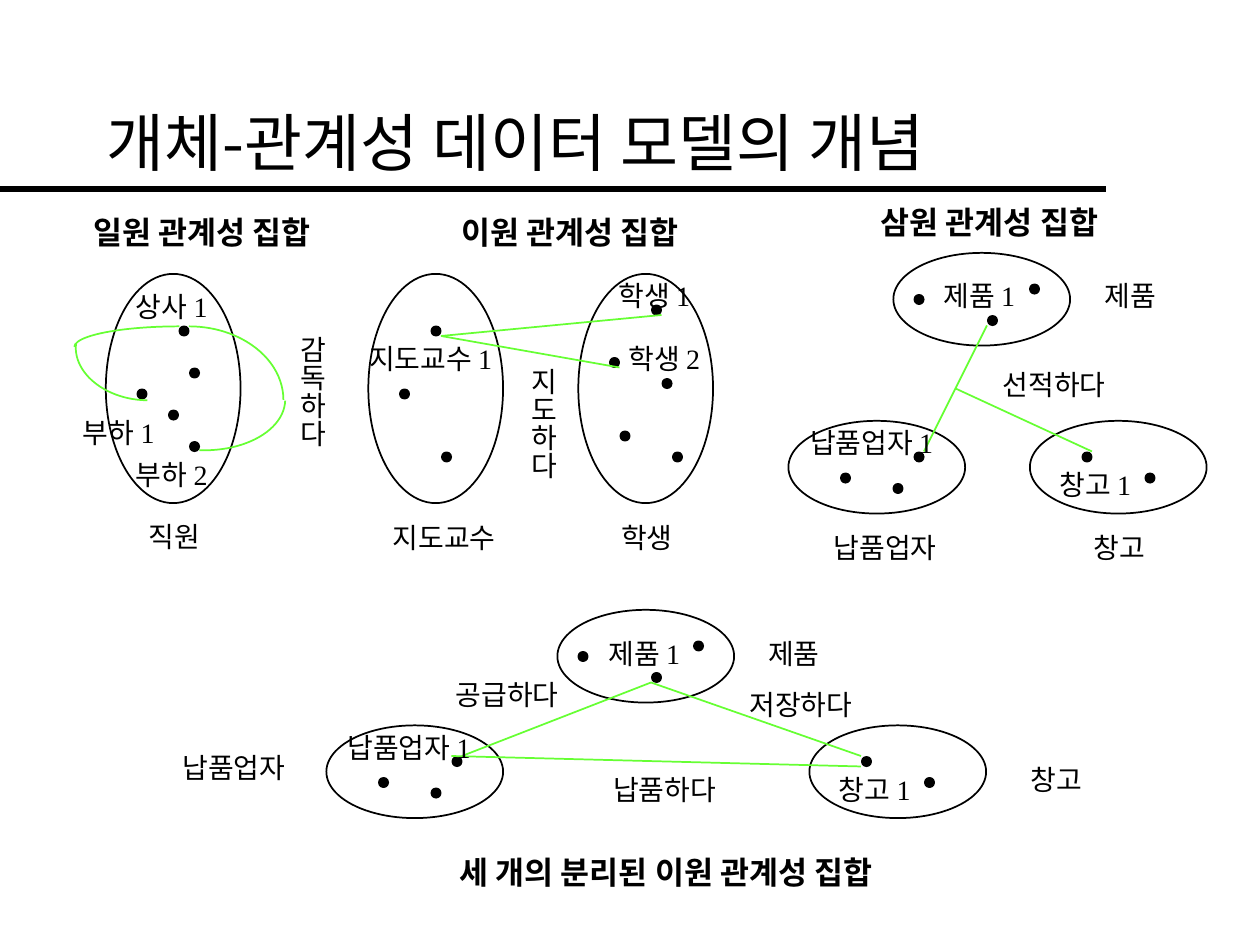
import pptx
import pptx.util
import pptx.dml.color
import pptx.enum.shapes
import pptx.enum.text
import lxml.etree
from pptx.oxml.ns import qn

Pt = pptx.util.Pt
SHAPE = pptx.enum.shapes.MSO_SHAPE
BLACK = pptx.dml.color.RGBColor(0x00, 0x00, 0x00)
WHITE = pptx.dml.color.RGBColor(0xFF, 0xFF, 0xFF)
GREEN = pptx.dml.color.RGBColor(0x66, 0xFF, 0x33)
HANGUL_FONT = "Noto Sans CJK KR"
LATIN_FONT = "Times New Roman"
GRID = 6

deck = pptx.Presentation()
deck.slide_width, deck.slide_height = Pt(720), Pt(540)
slide = deck.slides.add_slide(deck.slide_layouts[6])


def add_label(text, left, top, width, height, size=16, bold=False, latin=LATIN_FONT):
    label = slide.shapes.add_textbox(Pt(left), Pt(top), Pt(width), Pt(height))
    frame = label.text_frame
    frame.text = text
    frame.word_wrap = False
    frame.auto_size = pptx.enum.text.MSO_AUTO_SIZE.SHAPE_TO_FIT_TEXT
    font = frame.paragraphs[0].runs[0].font
    font.size, font.bold, font.name = Pt(size), bold, latin
    font.color.rgb = BLACK
    east_asian = lxml.etree.SubElement(font._element, qn("a:ea"))
    east_asian.set("typeface", HANGUL_FONT)
    return frame


def add_line(start, end, color, weight):
    line = slide.shapes.add_connector(
        pptx.enum.shapes.MSO_CONNECTOR.STRAIGHT, *[Pt(v) for v in (*start, *end)])
    line.line.color.rgb = color
    line.line.width = Pt(weight)
    lxml.etree.SubElement(line._element.spPr, qn("a:effectLst"))


add_line((0, 108), (632, 108), BLACK, 4)
title = add_label("개체-관계성 데이터 모델의 개념", 54, 36, 612, 90, 36, latin=HANGUL_FONT)
title.auto_size = pptx.enum.text.MSO_AUTO_SIZE.NONE
title.word_wrap = True
title.vertical_anchor = pptx.enum.text.MSO_ANCHOR.MIDDLE

tall_sets = [(10, 26), (35, 26), (55, 26)]
wide_sets = [(98, 40), (85, 24), (75, 40), (53, 58), (31, 69), (77, 69)]
members = [
    (17, 31), (18, 35), (13, 37), (18, 42), (16, 39),
    (41, 31), (38, 37), (42, 43),
    (62, 29), (58, 34), (63, 36), (59, 41), (64, 43),
    (87, 28), (94, 30), (98, 27),
    (80, 45), (87, 43), (85, 46), (103, 43), (109, 45),
    (55, 62), (62, 64), (66, 61),
    (36, 74), (43, 72), (41, 75), (82, 72), (88, 74),
]
for places, width, height, fill in [
    (tall_sets, 77, 131, WHITE),
    (wide_sets, 101, 53, WHITE),
    (members, 5.3, 5.3, BLACK),
]:
    for column, row in places:
        oval = slide.shapes.add_shape(
            SHAPE.OVAL, Pt(column * GRID + 0.5), Pt(row * GRID + 0.5), Pt(width), Pt(height))
        oval.shadow.inherit = False
        oval.fill.solid()
        oval.fill.fore_color.rgb = fill
        oval.line.color.rgb = BLACK
        oval.line.width = Pt(1)

for left, top, width, height, rotation, start, end in [
    (42.5, 186.5, 120, 23.5, 0, 180, 270),
    (43.2, 173.5, 76.3, 55, 187, 257, 0),
    (54, 186.5, 108, 84, 0, 270, 0),
    (67, 197.3, 96, 60, 182, 180, 270),
]:
    supervision = slide.shapes.add_shape(SHAPE.ARC, Pt(left), Pt(top), Pt(width), Pt(height))
    supervision.adjustments[0] = start * 0.6
    supervision.adjustments[1] = end * 0.6
    supervision.rotation = rotation
    supervision.shadow.inherit = False
    supervision.fill.background()
    supervision.line.color.rgb = GREEN
    supervision.line.width = Pt(1)

for start, end in [
    ((42, 32), (63, 30)), ((42, 32), (59, 35)),
    ((94, 31), (88, 43)), ((91, 37), (104, 43)),
    ((44, 72), (62, 65)), ((43, 72), (82, 73)), ((62, 65), (82, 72)),
]:
    add_line([v * GRID for v in start], [v * GRID for v in end], GREEN, 1)

for heading, left, top, width in [
    ("일원 관계성 집합", 46.3, 118.2, 139),
    ("이원 관계성 집합", 256.6, 118.2, 139),
    ("삼원 관계성 집합", 496.3, 112.4, 139),
    ("세 개의 분리된 이원 관계성 집합", 255.6, 484, 250.6),
]:
    add_label(heading, left, top, width, 29, 18, True)

for text, left, top in [
    ("직원", 77.8, 293.3), ("지도교수", 217.4, 293.8), ("학생", 347.8, 293.8),
    ("상사 1", 70.6, 162), ("부하 1", 40.3, 234), ("부하 2", 70.6, 257.8),
    ("지도교수 1", 203.8, 191.5), ("학생 1", 346.3, 155.5), ("학생 2", 352, 191.5),
    ("제품", 624.2, 155.5), ("납품업자", 469.4, 299.5), ("창고", 617.8, 299.5),
    ("제품 1", 532, 155.5), ("납품업자 1", 455.8, 239.8), ("창고 1", 598.3, 263.5),
    ("선적하다", 566, 206.6),
    ("제품", 432, 360), ("제품 1", 340.6, 360),
    ("납품업자", 97.2, 425.5), ("납품업자 1", 191.5, 414),
    ("창고", 581.8, 432), ("창고 1", 472.3, 437.8),
    ("공급하다", 253.4, 383.8), ("저장하다", 421.2, 389.5), ("납품하다", 343.4, 437.8),
]:
    glyphs = len(text.replace(" ", ""))
    slack = 2 if " " in text else 0
    add_label(text, left, top, 14.4 + 14.8 * glyphs + slack, 26.6)

for text, left, top in [("감독하다", 157.7, 185), ("지도하다", 290.2, 203)]:
    frame = add_label(text, left, top, 33.8, 71.3)
    frame._txBody.bodyPr.set("vert", "eaVert")
    frame.margin_left = frame.margin_right = Pt(3.6)
    frame.margin_top = frame.margin_bottom = Pt(7.2)

deck.save("out.pptx")
